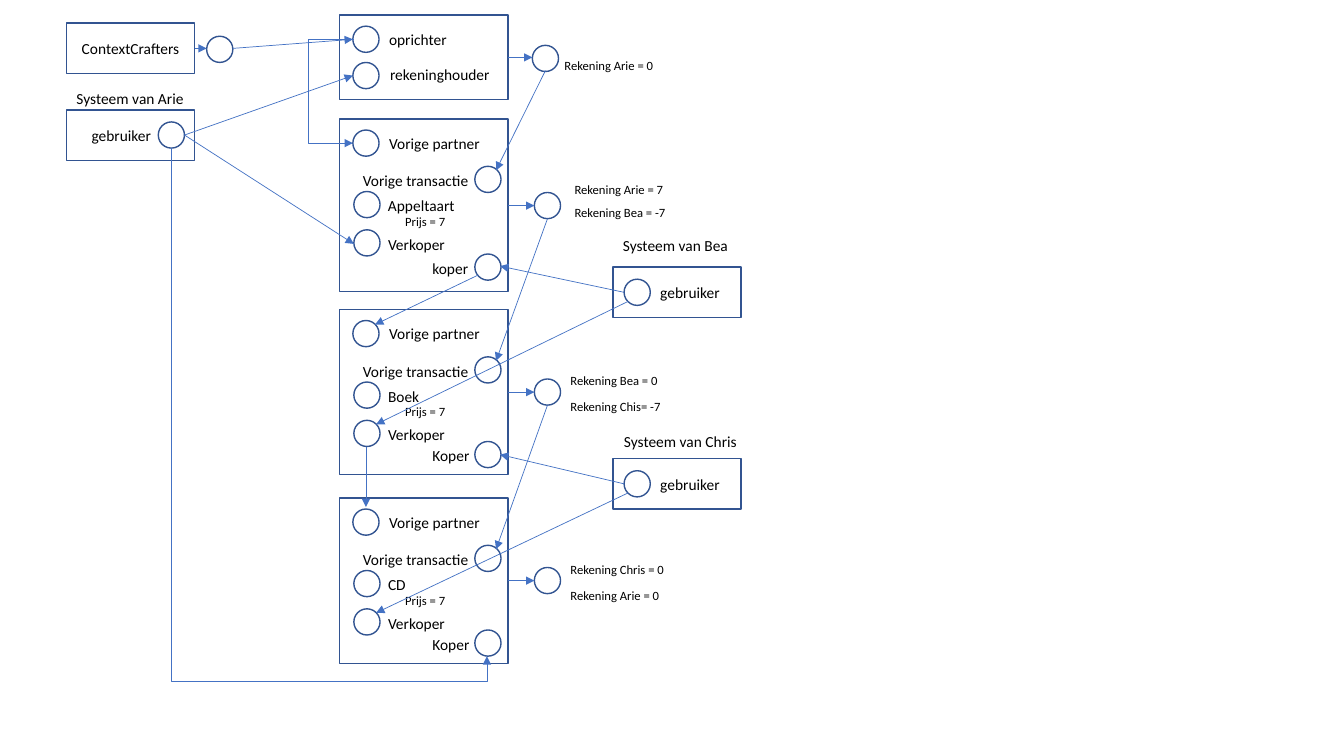
from pptx import Presentation, util as u
from pptx.dml.color import RGBColor
from pptx.enum import shapes as s, text as t
from pptx.oxml.ns import qn
from lxml import etree

THEME = {
    "font": "Calibri", "ink": RGBColor.from_string("000000"),
    "edge": RGBColor.from_string("325491"),
    "wire": RGBColor.from_string("4472C4"),
    "body": 11, "small": 9, "border": 1, "thin": 0.5,
}
RING = 0.26
DEAL_X, DEAL_W = 3.37, 1.67
USER_W, USER_H = 1.27, 0.5

DEALS = [
    {"y": 1.29, "h": 1.71, "item": "Appeltaart", "wide": 0.87,
     "buyer": "koper", "drop": 1.23, "out": 0.62},
    {"y": 3.18, "h": 1.64, "item": "Boek", "wide": 0.51,
     "buyer": "Koper", "drop": 1.2, "out": 0.58},
    {"y": 5.05, "h": 1.64, "item": "CD", "wide": 0.38,
     "buyer": "Koper", "drop": 1.2, "out": 0.58},
]
USERS = [
    {"at": (0.66, 1.09), "ring": 0.91, "label": 0.15,
     "name": "Systeem van Arie", "head": (0.66, 0.83, 1.28)},
    {"at": (6.08, 2.65), "ring": 0.11, "label": 0.37,
     "name": "Systeem van Bea", "head": (6.08, 2.29, 1.26)},
    {"at": (6.08, 4.55), "ring": 0.11, "label": 0.37,
     "name": "Systeem van Chris", "head": (6.09, 4.24, 1.34)},
]
ROLES = [
    ("oprichter", 3.76, 0.25, 0.78),
    ("rekeninghouder", 3.77, 0.6, 1.2),
]
SALDI = [
    ("Rekening Arie = 0", 5.5, 0.52, 1.1),
    ("Rekening Arie = 7", 5.6, 1.76, 1.1),
    ("Rekening Bea = -7", 5.6, 1.98, 1.12),
    ("Rekening Bea = 0", 5.56, 3.65, 1.08),
    ("Rekening Chis= -7", 5.56, 3.91, 1.11),
    ("Rekening Chris = 0", 5.56, 5.52, 1.14),
    ("Rekening Arie = 0", 5.56, 5.78, 1.1),
]
RINGS = [(3.5, 0.26), (3.5, 0.62), (2.05, 0.36), (5.28, 0.45)]
ARROWS = [
    (1.93, 0.48, 2.05, 0.48), (2.31, 0.48, 3.5, 0.39),
    (5.04, 0.57, 5.28, 0.57), (1.83, 1.34, 3.5, 0.75),
    (1.83, 1.34, 3.51, 2.42), (5.41, 0.7, 4.92, 1.69),
    (5.43, 2.17, 4.92, 3.58), (5.43, 4.02, 4.92, 5.45),
    (6.19, 2.9, 4.96, 2.64), (6.19, 4.8, 4.96, 4.51),
    (6.23, 2.99, 3.73, 4.21), (6.23, 4.89, 3.73, 6.08),
    (4.74, 2.73, 3.72, 3.22), (3.63, 4.43, 3.63, 5.03),
]

deck = Presentation()
deck.slide_width, deck.slide_height = u.Inches(13.33), u.Inches(7.5)
slide = deck.slides.add_slide(deck.slide_layouts[6])


def write(para, words, size):
    run = para.add_run()
    run.text = words
    run.font.size = u.Pt(size)
    run.font.name = THEME["font"]
    run.font.color.rgb = THEME["ink"]


def outline(kind, x, y, w, h):
    shape = slide.shapes.add_shape(kind, *map(u.Inches, (x, y, w, h)))
    shape.shadow.inherit = False
    shape.fill.background()
    shape.line.color.rgb = THEME["edge"]
    shape.line.width = u.Pt(THEME["border"])
    return shape


def box(x, y, w, h):
    return outline(s.MSO_SHAPE.RECTANGLE, x, y, w, h)


def ring(x, y):
    return outline(s.MSO_SHAPE.OVAL, x, y, RING, RING)


def label(words, x, y, w, size=THEME["body"]):
    h = 0.29 if size == THEME["body"] else 0.25
    frame = slide.shapes.add_textbox(*map(u.Inches, (x, y, w, h))).text_frame
    frame.word_wrap = False
    frame.auto_size = t.MSO_AUTO_SIZE.SHAPE_TO_FIT_TEXT
    write(frame.paragraphs[0], words, size)


def arrow(x1, y1, x2, y2, kind=s.MSO_CONNECTOR.STRAIGHT):
    wire = slide.shapes.add_connector(kind, *map(u.Inches, (x1, y1, x2, y2)))
    wire.line.color.rgb = THEME["wire"]
    wire.line.width = u.Pt(THEME["thin"])
    etree.SubElement(wire.line._get_or_add_ln(), qn("a:tailEnd"), type="triangle")
    etree.SubElement(wire._element.spPr, qn("a:effectLst"))
    return wire


def elbow(x1, y1, x2, y2, bend, upright=False):
    wire = arrow(x1, y1, x2, y2, s.MSO_CONNECTOR.ELBOW)
    props = wire._element.spPr
    if upright:
        w, h = y2 - y1, x2 - x1
        wire.left = u.Inches((x1 + x2 - w) / 2)
        wire.top = u.Inches((y1 + y2 - h) / 2)
        wire.width, wire.height = u.Inches(w), u.Inches(h)
        frame = props.find(qn("a:xfrm"))
        frame.set("rot", "16200000")
        frame.set("flipH", "1")
    guides = props.find(qn("a:prstGeom")).get_or_add_avLst()
    etree.SubElement(guides, qn("a:gd"), name="adj1",
                     fmla=f"val {round(bend * 100000)}")


box(DEAL_X, 0.15, DEAL_W, 0.84)
maker = box(0.66, 0.23, USER_W, USER_H)
maker.text_frame.vertical_anchor = t.MSO_ANCHOR.MIDDLE
para = maker.text_frame.paragraphs[0]
para.alignment = t.PP_ALIGN.CENTER
write(para, "ContextCrafters", THEME["body"])

for spot in RINGS:
    ring(*spot)
for role in ROLES:
    label(*role)

for user in USERS:
    x, y = user["at"]
    box(x, y, USER_W, USER_H)
    ring(x + user["ring"], y + 0.12)
    label("gebruiker", x + user["label"], y + 0.11, 0.8)
    label(user["name"], *user["head"])

for deal in DEALS:
    y = deal["y"]
    low, out = y + deal["drop"], y + deal["out"]
    box(DEAL_X, y - 0.11, DEAL_W, deal["h"])
    for x, top in [(3.5, y), (4.71, y + 0.36), (3.51, y + 0.61),
                   (3.51, y + 0.99), (4.71, low), (5.3, out)]:
        ring(x, top)
    label("Vorige partner", 3.76, y - 0.01, 1.12)
    label("Vorige transactie", 3.5, y + 0.36, 1.26)
    label(deal["item"], 3.75, y + 0.61, deal["wide"])
    label("Prijs = 7", 3.92, y + 0.78, 0.6, THEME["small"])
    label("Verkoper", 3.75, y + 0.99, 0.78)
    label(deal["buyer"], 4.19, low, 0.57)
    arrow(5.04, out + RING / 2, 5.3, out + RING / 2)

for saldo in SALDI:
    label(*saldo, THEME["small"])
for ends in ARROWS:
    arrow(*ends)
elbow(3.51, 0.39, 3.5, 1.42, 46)
elbow(1.7, 1.47, 4.83, 6.51, 1.05, upright=True)

deck.save("out.pptx")
